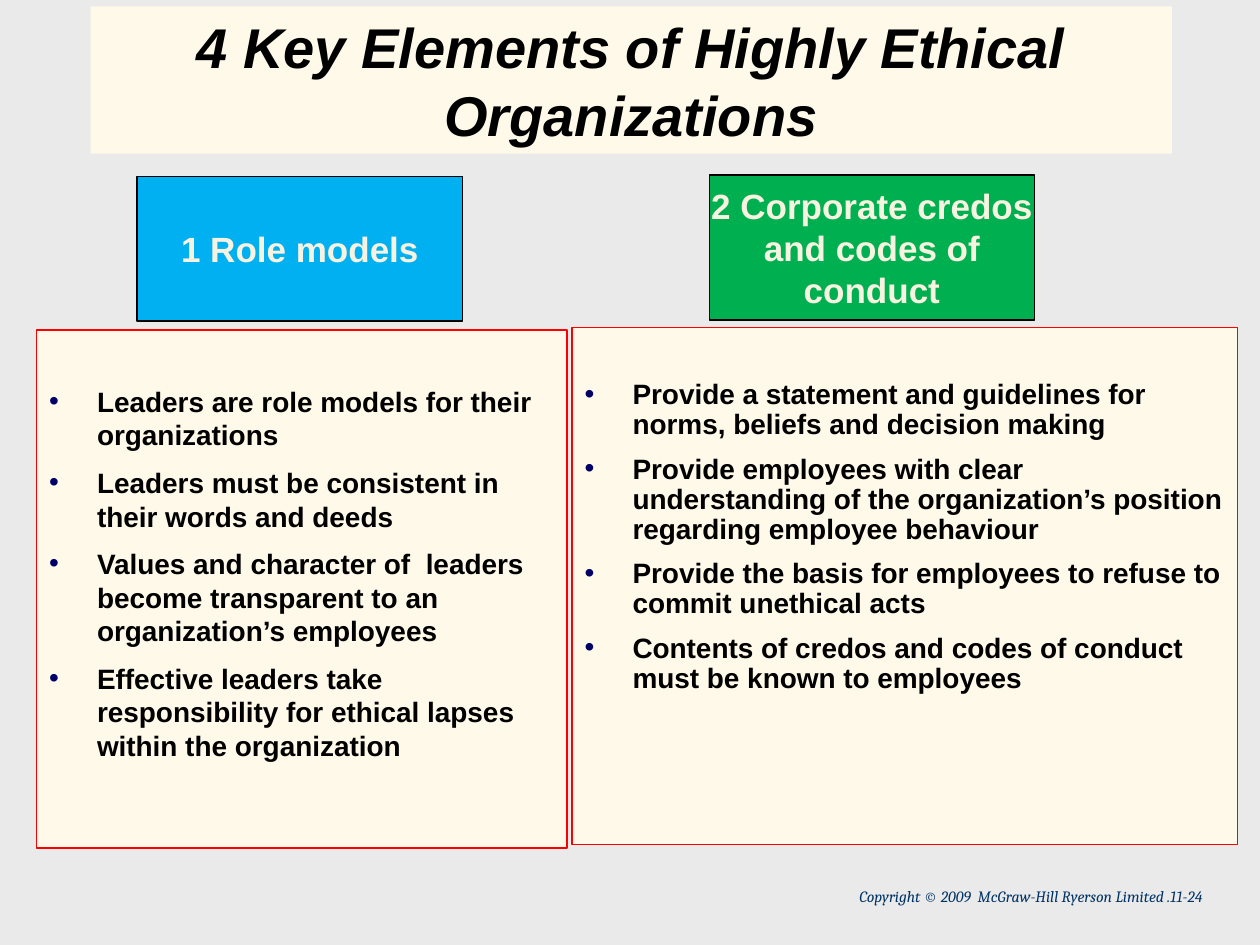
from typing import NamedTuple

from lxml import etree
from pptx import Presentation
from pptx.dml.color import RGBColor
from pptx.enum import shapes, text
from pptx.oxml.ns import qn
from pptx.util import Inches, Pt

BACKGROUND = RGBColor(0xEA, 0xEA, 0xEA)
CREAM = RGBColor(0xFF, 0xF9, 0xE9)
PALE_TEXT = RGBColor(0xF8, 0xF3, 0xE0)
BLACK = RGBColor(0, 0, 0)
RED = RGBColor(0xFF, 0, 0)
BLUE = RGBColor(0, 0xB0, 0xF0)
GREEN = RGBColor(0, 0xB0, 0x50)
NAVY = RGBColor(0, 0, 0x66)
COPYRIGHT_BLUE = RGBColor(0, 0x33, 0x66)

HEADING_SIZE = (2.58, 1.15)
HANGING = Inches(0.38)


class Box(NamedTuple):
    left: float
    top: float
    width: float
    height: float


class Element(NamedTuple):
    heading: str
    heading_box: Box
    color: RGBColor
    list_box: Box
    top_inset: float
    line_spacing: float
    points: list[str]


ELEMENTS = [
    Element(
        "1 Role models", Box(1.09, 1.4, *HEADING_SIZE), BLUE,
        Box(0.29, 2.62, 4.21, 4.11), 0.43, 1.0,
        [
            "Leaders are role models for their organizations",
            "Leaders must be consistent in their words and deeds",
            "Values and character of  leaders become transparent to an "
            "organization’s employees",
            "Effective leaders take responsibility for ethical lapses within "
            "the organization",
        ],
    ),
    Element(
        "2 Corporate credos and codes of conduct",
        Box(5.63, 1.39, *HEADING_SIZE), GREEN,
        Box(4.54, 2.6, 5.28, 4.1), 0.42, 0.9,
        [
            "Provide a statement and guidelines for norms, beliefs and "
            "decision making",
            "Provide employees with clear understanding of the organization’s "
            "position regarding employee behaviour",
            "Provide the basis for employees to refuse to commit unethical acts",
            "Contents of credos and codes of conduct must be known to employees",
        ],
    ),
]


def place(shape, box: Box) -> None:
    shape.left, shape.top, shape.width, shape.height = map(Inches, box)


def paint(shape, fill: RGBColor, line: RGBColor | None = None, width: float = 1) -> None:
    shape.fill.solid()
    shape.fill.fore_color.rgb = fill
    if line is not None:
        shape.line.color.rgb = line
        shape.line.width = Pt(width)


def style_runs(frame, size: float, color: RGBColor, name: str = "Arial",
               bold: bool = True, italic: bool = False) -> None:
    for paragraph in frame.paragraphs:
        for run in paragraph.runs:
            font = run.font
            font.name, font.size = name, Pt(size)
            font.bold, font.italic = bold, italic
            font.color.rgb = color


def add_bullet(paragraph) -> None:
    properties = paragraph._p.get_or_add_pPr()
    properties.set("marL", str(HANGING))
    properties.set("indent", str(-HANGING))
    bullet_color = etree.SubElement(properties, qn("a:buClr"))
    etree.SubElement(bullet_color, qn("a:srgbClr"), val=str(NAVY))
    etree.SubElement(properties, qn("a:buChar"), char="•")


def draw_title(title) -> None:
    place(title, Box(0.72, 0.05, 8.58, 1.17))
    paint(title, CREAM)
    frame = title.text_frame
    frame.text = "4 Key Elements of Highly Ethical Organizations"
    frame.auto_size = text.MSO_AUTO_SIZE.NONE
    frame.vertical_anchor = text.MSO_ANCHOR.BOTTOM
    frame.paragraphs[0].alignment = text.PP_ALIGN.CENTER
    style_runs(frame, 32, BLACK, italic=True)


def draw_heading(slide, element: Element) -> None:
    heading = slide.shapes.add_shape(
        shapes.MSO_SHAPE.RECTANGLE, *map(Inches, element.heading_box))
    heading.shadow.inherit = False
    paint(heading, element.color, BLACK)
    frame = heading.text_frame
    frame.text = element.heading
    frame.word_wrap = True
    frame.vertical_anchor = text.MSO_ANCHOR.MIDDLE
    frame.margin_left = frame.margin_right = 0
    frame.margin_top = frame.margin_bottom = 0
    frame.paragraphs[0].alignment = text.PP_ALIGN.CENTER
    style_runs(frame, 20, PALE_TEXT)


def draw_list(body, element: Element) -> None:
    place(body, element.list_box)
    paint(body, CREAM, RED, 0.75)
    frame = body.text_frame
    frame.text = "\n".join(element.points)
    frame.auto_size = text.MSO_AUTO_SIZE.NONE
    frame.margin_top = Inches(element.top_inset)
    for index, paragraph in enumerate(frame.paragraphs):
        paragraph.space_before = Pt(8 if index else 0)
        paragraph.line_spacing = element.line_spacing
        add_bullet(paragraph)
    style_runs(frame, 16, BLACK)


def draw_copyright(slide) -> None:
    notice = slide.shapes.add_textbox(*map(Inches, Box(5.06, 6.99, 4.58, 0.27)))
    frame = notice.text_frame
    frame.text = "Copyright © 2009  McGraw-Hill Ryerson Limited .11-24"
    frame.word_wrap = True
    frame.paragraphs[0].alignment = text.PP_ALIGN.RIGHT
    style_runs(frame, 9, COPYRIGHT_BLUE, "Cambria", bold=False, italic=True)


def main() -> None:
    deck = Presentation()
    deck.slide_width, deck.slide_height = Inches(10), Inches(7.5)
    two_content = deck.slide_layouts[3]
    slide = deck.slides.add_slide(two_content)
    slide.background.fill.solid()
    slide.background.fill.fore_color.rgb = BACKGROUND

    draw_title(slide.shapes.title)
    for index, element in enumerate(ELEMENTS, start=1):
        draw_list(slide.placeholders[index], element)
        draw_heading(slide, element)
    draw_copyright(slide)
    deck.save("out.pptx")


if __name__ == "__main__":
    main()
